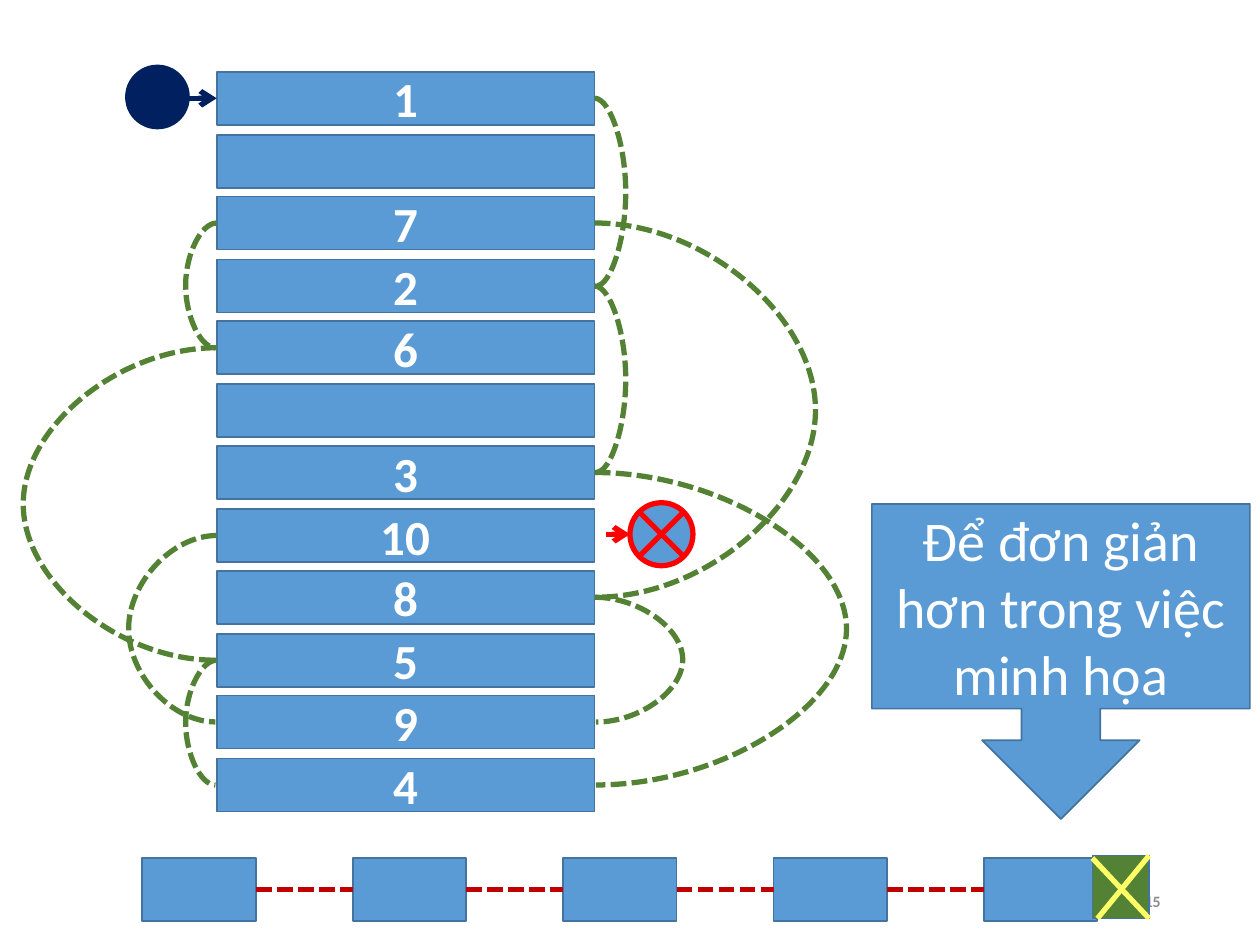
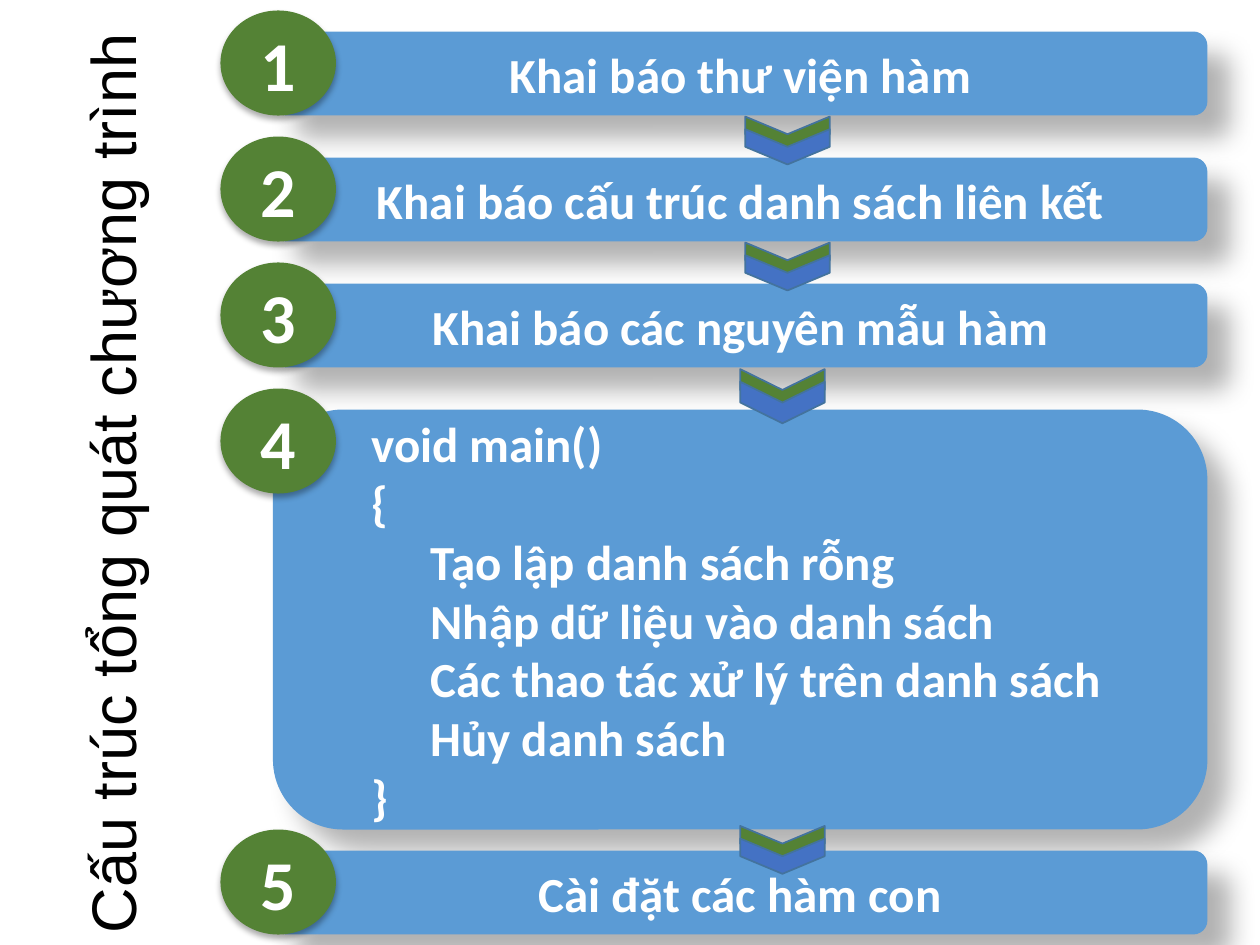
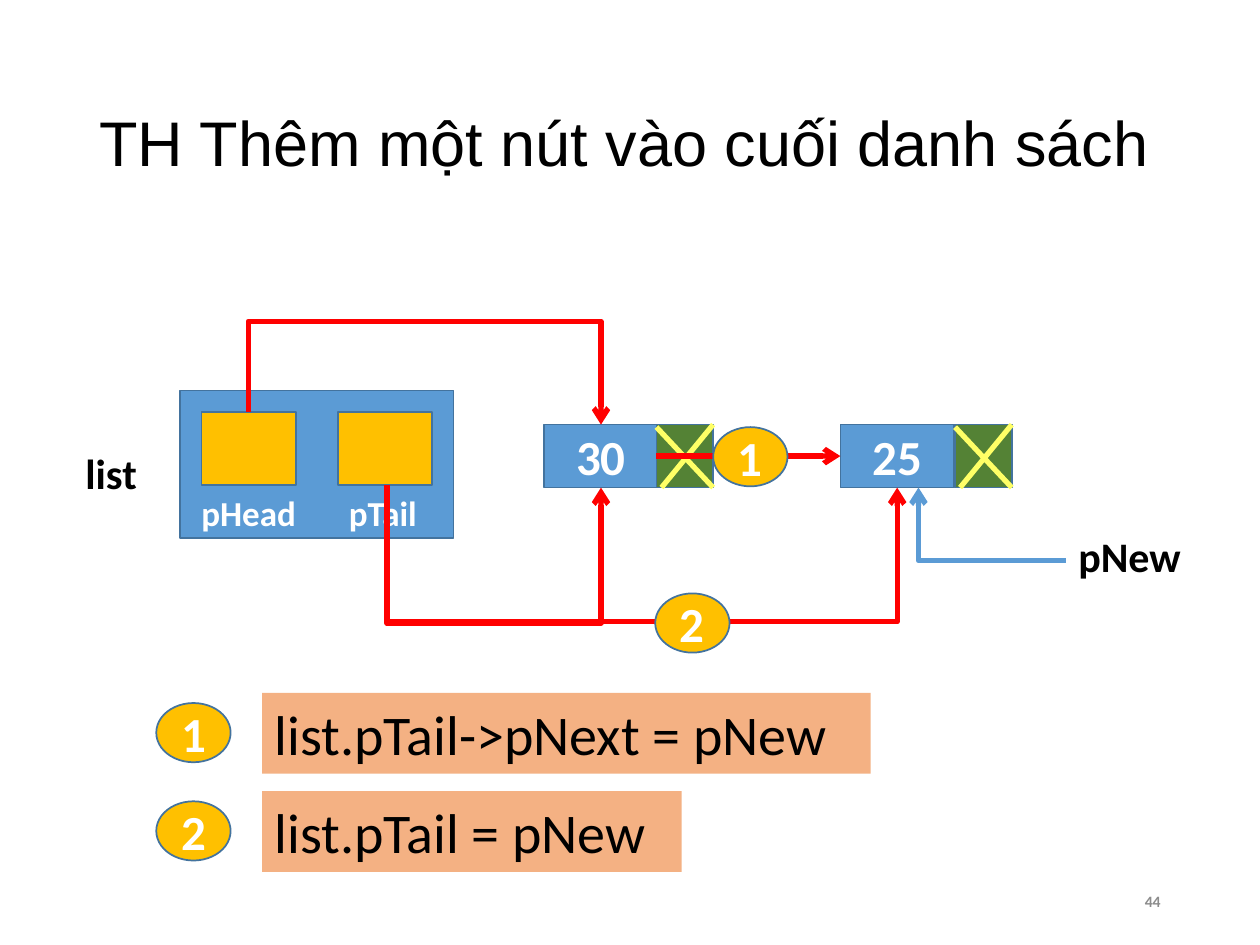
from lxml.etree import SubElement
from pptx import Presentation
from pptx.dml.color import RGBColor
from pptx.enum.dml import MSO_LINE
from pptx.enum.shapes import MSO_CONNECTOR, MSO_SHAPE
from pptx.enum.text import MSO_ANCHOR, MSO_AUTO_SIZE, PP_ALIGN
from pptx.oxml.ns import qn
from pptx.util import Inches, Pt

COLORS = {
    "blue": "5B9BD5", "edge": "43739E", "green": "548235", "indigo": "4472C4",
    "navy": "002060", "red": "FF0000", "crimson": "C00000", "yellow": "FFFF66",
    "gold": "FFC000", "peach": "F4B183", "grey": "8C8C8C",
    "white": "FFFFFF", "black": "000000",
}
FONTS = {
    "title": ({"name": "Arial", "size": Pt(36), "bold": False}, "black"),
    "footer": ({"name": "Calibri", "size": Pt(9), "bold": True}, "grey"),
    "node": ({"name": "Calibri", "size": Pt(28), "bold": True}, "white"),
    "badge": ({"name": "Calibri", "size": Pt(40), "bold": True}, "white"),
    "callout": ({"name": "Calibri", "size": Pt(32), "bold": False}, "white"),
    "code": ({"name": "Calibri", "size": Pt(32), "bold": False}, "black"),
    "field": ({"name": "Calibri", "size": Pt(20), "bold": True}, "white"),
    "pointer": ({"name": "Calibri", "size": Pt(24), "bold": True}, "black"),
}
EDGE = ("edge", 1)
BAR_SHADOW = {"alpha": 30, "blur": 15, "dist": 18, "angle": 45}
BADGE_SHADOW = {"alpha": 32, "blur": 3.5, "dist": 2.2, "angle": 90}

MEMORY = [1, None, 7, 2, 6, None, 3, 10, 8, 5, 9, 4]
BULGES = [0.25, 0.25, 2.03, -0.25, -1.56, -0.25, 1.78, 0.71, -0.71]
MEMORY_LEFT, MEMORY_TOP, CELL_W, CELL_H = 1.72, 0.57, 3, 0.42
PAIR_STEP, CELL_STEP = 0.99, 0.5
CALLOUT = "Để đơn giản hơn trong việc minh họa"
CHAIN_LENGTH, CHAIN_LEFT, CHAIN_TOP, CHAIN_STEP = 5, 1.13, 6.81, 1.67
NODE_W, NODE_H, NULL_W = 0.9, 0.5, 0.45

STRUCTURE_TITLE = "Cấu trúc tổng quát chương trình"
UNIT = 1 / 12
STEPS = [
    (3, 8, "Khai báo thư viện hàm"),
    (15, 8, "Khai báo cấu trúc danh sách liên kết"),
    (27, 8, "Khai báo các nguyên mẫu hàm"),
    (39, 40, [
        (0, "void main()"), (0, "{"),
        (1, "Tạo lập danh sách rỗng"),
        (1, "Nhập dữ liệu vào danh sách"),
        (1, "Các thao tác xử lý trên danh sách"),
        (1, "Hủy danh sách"), (0, "}"),
    ]),
    (81, 8, "Cài đặt các hàm con"),
]
CODE_INDENTS = (0.52, 0.99)
CHEVRONS = [(6.25, 1.06, 0.28), (6.25, 2.06, 0.28), (6.21, 3.09, 0.33), (6.21, 6.69, 0.28)]

APPEND_TITLE = "TH Thêm một nút vào cuối danh sách"
LIST_FIELDS = [("pHead", 1.6, 1.5, 1), ("pTail", 2.68, 2.67, 0.81)]
LIST_NODES = [("30", 4.32, 5.21), ("25", 6.67, 7.58)]
NODE_TOP = 3.37
ROUTES = [((1.97, 3.27), (4.77, 3.37), 2.55),
          ((3.07, 3.85), (4.77, 3.87), 4.94),
          ((3.07, 3.85), (7.12, 3.87), 4.93)]
STATEMENTS = [("1", "list.pTail->pNext = pNew", 4.83), ("2", "list.pTail = pNew", 3.33)]
STATEMENT_TOP, STATEMENT_STEP = 5.5, 0.78


def rgb(color):
    return RGBColor.from_string(COLORS[color])


def inches(values):
    return [Inches(value) for value in values]


def write(frame, text, style, align=PP_ALIGN.LEFT, anchor=MSO_ANCHOR.MIDDLE, wrap=True):
    frame.word_wrap, frame.vertical_anchor = wrap, anchor
    lines = text if isinstance(text, list) else [(None, text)]
    values, color = FONTS[style]
    for number, (level, words) in enumerate(lines):
        paragraph = frame.add_paragraph() if number else frame.paragraphs[0]
        paragraph.alignment = align
        if level is not None:
            indent = Inches(CODE_INDENTS[level])
            paragraph._p.get_or_add_pPr().set("marL", str(indent))
        run = paragraph.add_run()
        run.text = words
        for key, value in values.items():
            setattr(run.font, key, value)
        run.font.color.rgb = rgb(color)


def draw(slide, kind, box, fill, line=EDGE, text=None, style="node", align=PP_ALIGN.CENTER):
    shape = slide.shapes.add_shape(kind, *inches(box))
    shape.shadow.inherit = False
    shape.fill.solid()
    shape.fill.fore_color.rgb = rgb(fill)
    if line:
        shape.line.color.rgb, shape.line.width = rgb(line[0]), Pt(line[1])
    else:
        shape.line.fill.background()
    if text:
        write(shape.text_frame, text, style, align)
    return shape


def label(slide, box, text, style, **layout):
    write(slide.shapes.add_textbox(*inches(box)).text_frame, text, style, **layout)


def cast_shadow(shape, alpha, blur, dist, angle):
    effects = shape._element.spPr.find(qn("a:effectLst"))
    outer = SubElement(effects, qn("a:outerShdw"), blurRad=str(Pt(blur)), dist=str(Pt(dist)),
                       dir=str(angle * 60000), algn="tl", rotWithShape="0")
    black = SubElement(outer, qn("a:srgbClr"), val=COLORS["black"])
    SubElement(black, qn("a:alpha"), val=str(alpha * 1000))


def connect(slide, start, end, color, kind=MSO_CONNECTOR.STRAIGHT, dashed=False, arrow=False):
    link = slide.shapes.add_connector(kind, *inches(start + end))
    link.line.color.rgb, link.line.width = rgb(color), Pt(3)
    if dashed:
        link.line.dash_style = MSO_LINE.SQUARE_DOT
    properties = link._element.spPr
    if arrow:
        SubElement(properties.find(qn("a:ln")), qn("a:tailEnd"), type="arrow")
    SubElement(properties, qn("a:effectLst"))
    return link


def adjust(link, share):
    guides = link._element.spPr.find(qn("a:prstGeom")).find(qn("a:avLst"))
    SubElement(guides, qn("a:gd"), name="adj1", fmla=f"val {round(share * 100000)}")


def curve(slide, x, top, bottom, bulge):
    run = 0.01 if bulge > 0 else -0.01
    link = connect(slide, (x, top), (x + run, bottom), "green", MSO_CONNECTOR.CURVE, dashed=True)
    adjust(link, bulge / run)


def vertical_route(slide, start, end, turn):
    (x1, y1), (x2, y2) = start, end
    middle_x, middle_y = (x1 + x2) / 2, (y1 + y2) / 2
    half_w, half_h = (y2 - y1) / 2, (x2 - x1) / 2
    link = connect(slide, (middle_x - half_w, middle_y - half_h),
                   (middle_x + half_w, middle_y + half_h), "red", MSO_CONNECTOR.ELBOW, arrow=True)
    frame = link._element.spPr.find(qn("a:xfrm"))
    frame.set("rot", str(270 * 60000))
    frame.set("flipH", "1")
    adjust(link, (turn - y1) / (y2 - y1))


def null_cell(slide, left, top):
    right, bottom = left + NULL_W, top + NODE_H
    cell = draw(slide, MSO_SHAPE.RECTANGLE, (left, top, NULL_W, NODE_H), "green")
    connect(slide, (right, top), (left + 0.04, bottom), "yellow")
    connect(slide, (left, top + 0.02), (right, bottom), "yellow")
    return cell


def badge(slide, left, top, number):
    draw(slide, MSO_SHAPE.OVAL, (left, top, 0.59, 0.47), "gold", text=number)


def set_title(slide, text, box, rotation=0):
    title = slide.shapes.title
    title.left, title.top, title.width, title.height = inches(box)
    title.rotation = rotation
    write(title.text_frame, text, "title")
    title.text_frame.auto_size = MSO_AUTO_SIZE.NONE


def footer(slide, number):
    label(slide, (6.62, 6.95, 2.69, 0.4), number, "footer", align=PP_ALIGN.RIGHT)


def build_memory(slide):
    footer(slide, "15")
    chain = [draw(slide, MSO_SHAPE.RECTANGLE,
                  (CHAIN_LEFT + i * CHAIN_STEP, CHAIN_TOP, NODE_W, NODE_H), "blue")
             for i in range(CHAIN_LENGTH)]
    for node, following in zip(chain, chain[1:]):
        link = connect(slide, (0, 0), (1, 1), "crimson", dashed=True)
        link.begin_connect(node, 3)
        link.end_connect(following, 1)

    tops = [MEMORY_TOP + i // 2 * PAIR_STEP + i % 2 * CELL_STEP for i in range(len(MEMORY))]
    cells = [draw(slide, MSO_SHAPE.RECTANGLE, (MEMORY_LEFT, top, CELL_W, CELL_H), "blue",
                  text=str(value) if value else None)
             for value, top in zip(MEMORY, tops)]
    for value, bulge in enumerate(BULGES, 1):
        ends = sorted(tops[MEMORY.index(v)] + CELL_H / 2 for v in (value, value + 1))
        curve(slide, MEMORY_LEFT + (CELL_W if bulge > 0 else 0), *ends, bulge)

    head = connect(slide, (1.46, 0.78), (1.72, 0.78), "navy", arrow=True)
    head.end_connect(cells[0], 1)
    draw(slide, MSO_SHAPE.OVAL, (1, 0.52, 0.5, 0.5), "navy", ("navy", 1))
    draw(slide, MSO_SHAPE.FLOWCHART_SUMMING_JUNCTION, (5, 3.99, 0.5, 0.5), "blue", ("red", 3))
    connect(slide, (4.81, 4.24), (5, 4.24), "red", arrow=True)
    draw(slide, MSO_SHAPE.DOWN_ARROW_CALLOUT, (6.92, 4, 3, 2.5), "blue",
         text=CALLOUT, style="callout")
    null_cell(slide, 8.67, 6.79)


def build_structure(slide):
    set_title(slide, STRUCTURE_TITLE, (-2.83, 3.17, 7.42, 1.25), 270)
    for number, (top, height, text) in enumerate(STEPS, 1):
        align = PP_ALIGN.LEFT if isinstance(text, list) else PP_ALIGN.CENTER
        bar = draw(slide, MSO_SHAPE.ROUNDED_RECTANGLE,
                   [n * UNIT for n in (26, top, 89, height)], "blue", None, text, align=align)
        cast_shadow(bar, **BAR_SHADOW)
        disc = draw(slide, MSO_SHAPE.OVAL, [n * UNIT for n in (21, top - 2, 11, 10)],
                    "green", None, str(number), "badge")
        cast_shadow(disc, **BADGE_SHADOW)
    for x, y, length in CHEVRONS:
        for shift, fill in ((0, "green"), (0.1, "indigo")):
            box = (x - length / 2, y + shift - 0.33, length, 0.67)
            draw(slide, MSO_SHAPE.CHEVRON, box, fill).rotation = 90


def build_append(slide):
    set_title(slide, APPEND_TITLE, (0.69, 0.4, 8.62, 1.45))
    footer(slide, "44")
    draw(slide, MSO_SHAPE.RECTANGLE, (1.43, 3.1, 2.17, 1.17), "blue")
    for name, left, name_left, name_w in LIST_FIELDS:
        draw(slide, MSO_SHAPE.RECTANGLE, (left, 3.27, 0.75, 0.58), "gold")
        label(slide, (name_left, 3.85, name_w, 0.44), name, "field", wrap=False)
    label(slide, (0.58, 3.5, 0.63, 0.5), "list", "pointer", wrap=False)

    nodes, nulls = [], []
    for value, left, null_left in LIST_NODES:
        nodes.append(draw(slide, MSO_SHAPE.RECTANGLE, (left, NODE_TOP, NODE_W, NODE_H),
                          "blue", text=value))
        nulls.append(null_cell(slide, null_left, NODE_TOP))
    for start, end, turn in ROUTES:
        vertical_route(slide, start, end, turn)

    new = connect(slide, (8.46, 4.45), (7.29, 3.87), "blue", MSO_CONNECTOR.ELBOW, arrow=True)
    new._element.spPr.find(qn("a:prstGeom")).set("prst", "bentConnector2")
    label(slide, (8.46, 4.16, 1.03, 0.5), "pNew", "pointer", wrap=False)
    following = connect(slide, (5.21, 3.62), (6.67, 3.62), "red", arrow=True)
    following.begin_connect(nulls[0], 1)
    following.end_connect(nodes[1], 1)

    badge(slide, 5.66, 3.39, "1")
    badge(slide, 5.2, 4.71, "2")
    for row, (number, code, width) in enumerate(STATEMENTS):
        top = STATEMENT_TOP + row * STATEMENT_STEP
        draw(slide, MSO_SHAPE.RECTANGLE, (2.08, top, width, 0.64), "peach", None,
             code, "code", PP_ALIGN.LEFT)
        badge(slide, 1.24, top + 0.08, number)


def main():
    deck = Presentation()
    deck.slide_width, deck.slide_height = Inches(10), Inches(7.5)
    for layout, build in ((6, build_memory), (5, build_structure), (5, build_append)):
        build(deck.slides.add_slide(deck.slide_layouts[layout]))
    deck.save("out.pptx")


if __name__ == "__main__":
    main()
